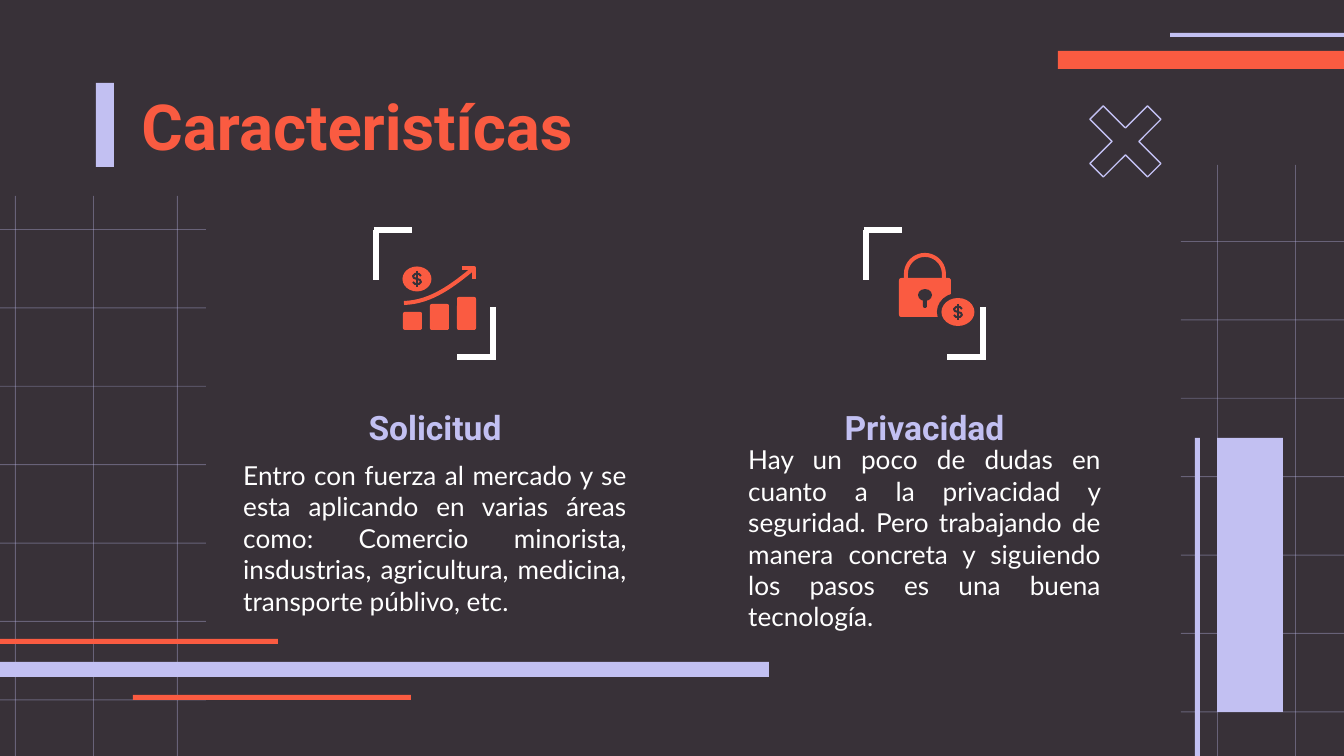
"""Build the two-column "Caracteristícas" slide with its decorations and icons."""
import math

import pptx
import pptx.dml.color
import pptx.enum.shapes
import pptx.enum.text
import pptx.oxml.ns
import pptx.util
import lxml.etree

SCALE = 914400 / 134.4
DARK, LILAC, CORAL, WHITE = "383138", "C2C0F2", "FA5B41", "FFFFFF"
KIND = pptx.enum.shapes.MSO_SHAPE
ALIGN = pptx.enum.text.PP_ALIGN

HEADING = ("Caracteristícas", (128, 79, 1086, 93))
COLUMNS = [
    ("Solicitud", "Entro con fuerza al mercado y se esta aplicando en varias áreas "
     "como: Comercio minorista, insdustrias, agricultura, medicina, "
     "transporte públivo, etc.", 230, 410),
    ("Privacidad", "Hay un poco de dudas en cuanto a la privacidad y seguridad. Pero "
     "trabajando de manera concreta y siguiendo los pasos es una buena "
     "tecnología.", 735, 379),
]
GRIDS = [
    {"left": -208, "right": 206, "top": 196, "bottom": 1089, "first": 229, "columns": (15, 93, 177)},
    {"left": 1181, "right": 1413, "top": 165, "bottom": 789, "first": 241, "columns": (1217, 1295)},
]
GRID_ROWS, GRID_STEP = 7, 78.4
BARS = [
    (1195, 438, 5, 318, LILAC), (1058, 51, 552, 18, CORAL),
    (-1, 662, 770, 15, LILAC), (-134, 639, 412, 5, CORAL),
    (133, 695, 278, 5, CORAL), (1217, 438, 66, 274, LILAC),
    (1170, 33, 315, 4, LILAC), (96, 83, 18, 84, LILAC),
]
FRAME_LEFTS = (374, 864)
FRAME_LINES = [(2, 50, 2, 0), (0, 0, 38, 0), (119, 77, 119, 127), (122, 127, 83, 127)]
FRAME_TOP = 230
GROWTH_BARS = [(403, 312), (430, 304), (457, 297)]
GROWTH_BASE = 330
TREND = [(404, 303), (432, 302), (453, 285), (473, 269)]
ARROW_TIP = [(462, 268), (474, 268), (474, 279)]
DOLLAR = [(4, -3), (2, -5), (-2, -5), (-4, -3), (-3, -1),
          (3, 1), (4, 3), (2, 5), (-2, 5), (-4, 3)]


def px(length):
    return pptx.util.Emu(round(length * SCALE))


def rgb(value):
    return pptx.dml.color.RGBColor.from_string(value)


def add_block(kind, box, colour, alpha=None):
    block = slide.shapes.add_shape(kind, *map(px, box))
    block.shadow.inherit = False
    block.fill.solid()
    block.fill.fore_color.rgb = rgb(colour)
    block.line.fill.background()
    if alpha:
        tone = block.fill._xPr.find(".//" + pptx.oxml.ns.qn("a:srgbClr"))
        lxml.etree.SubElement(tone, pptx.oxml.ns.qn("a:alpha"), val=str(alpha * 1000))
    return block


def add_stroke(points, colour, width):
    start, *rest = [(px(x), px(y)) for x, y in points]
    pen = slide.shapes.build_freeform(*start)
    pen.add_line_segments(rest, close=False)
    stroke = pen.convert_to_shape()
    stroke.shadow.inherit = False
    stroke.fill.background()
    stroke.line.color.rgb = rgb(colour)
    stroke.line.width = px(width)


def add_line(x1, y1, x2, y2, colour, points):
    line = slide.shapes.add_connector(
        pptx.enum.shapes.MSO_CONNECTOR.STRAIGHT, *map(px, (x1, y1, x2, y2)))
    line.line.color.rgb = rgb(colour)
    line.line.width = pptx.util.Pt(points)
    lxml.etree.SubElement(line._element.spPr, pptx.oxml.ns.qn("a:effectLst"))


def write(holder, box, words, font, size, colour, align, bold=False):
    holder.left, holder.top, holder.width, holder.height = map(px, box)
    frame = holder.text_frame
    frame.word_wrap = True
    frame.auto_size = pptx.enum.text.MSO_AUTO_SIZE.NONE
    frame.vertical_anchor = pptx.enum.text.MSO_ANCHOR.MIDDLE
    frame.margin_left = frame.margin_right = pptx.util.Inches(0.1)
    frame.margin_top = frame.margin_bottom = pptx.util.Inches(0.1)
    paragraph = frame.paragraphs[0]
    paragraph.alignment = align
    run = paragraph.add_run()
    run.text = words
    run.font.name, run.font.size, run.font.bold = font, pptx.util.Pt(size), bold
    run.font.color.rgb = rgb(colour)


def add_coin(x, y, width, height):
    add_block(KIND.OVAL, (x - width / 2, y - height / 2, width, height), CORAL)
    add_stroke([(x + dx, y + dy) for dx, dy in DOLLAR], DARK, 2)
    add_stroke([(x, y - 8), (x, y + 8)], DARK, 2)


def bezier(a, b, c, d, steps=16):
    return [tuple(p * (1 - t) ** 3 + 3 * q * t * (1 - t) ** 2 + 3 * r * t * t * (1 - t) + s * t ** 3
                  for p, q, r, s in zip(a, b, c, d))
            for t in (i / steps for i in range(steps + 1))]


def draw_growth_icon():
    for left, top in GROWTH_BARS:
        bar = add_block(KIND.ROUNDED_RECTANGLE, (left, top, 19, GROWTH_BASE - top), CORAL)
        bar.adjustments[0] = 0.1
    add_stroke(bezier(*TREND), CORAL, 4)
    add_stroke(ARROW_TIP, CORAL, 4)
    add_coin(417, 279, 29, 25)


def draw_lock_icon():
    arch = [(925 - 19 * math.cos(math.pi * i / 20), 274 - 19 * math.sin(math.pi * i / 20))
            for i in range(21)]
    add_stroke([(906, 280), *arch, (944, 280)], CORAL, 4)
    add_block(KIND.ROUNDED_RECTANGLE, (899, 278, 52, 39), CORAL).adjustments[0] = 0.06
    add_block(KIND.OVAL, (918, 289, 14, 12), DARK)
    add_block(KIND.ROUNDED_RECTANGLE, (923, 296, 4, 12), DARK).adjustments[0] = 0.5
    add_block(KIND.OVAL, (937, 293, 42, 38), DARK)
    add_coin(958, 312, 33, 28)


deck = pptx.Presentation()
deck.slide_width, deck.slide_height = px(1344), px(756)
slide = deck.slides.add_slide(deck.slide_layouts[5])
slide.background.fill.solid()
slide.background.fill.fore_color.rgb = rgb(DARK)

for grid in GRIDS:
    for row in range(GRID_ROWS):
        add_block(KIND.RECTANGLE, (grid["left"], grid["first"] + row * GRID_STEP,
                                   grid["right"] - grid["left"], 1), LILAC, 35)
    for column in grid["columns"]:
        add_block(KIND.RECTANGLE, (column, grid["top"], 1, grid["bottom"] - grid["top"]), LILAC, 35)
for *box, colour in BARS:
    add_block(KIND.RECTANGLE, box, colour)

title, title_box = HEADING
write(slide.shapes.title, title_box, title, "Roboto", 34, CORAL, ALIGN.LEFT, True)
for name, description, left, width in COLUMNS:
    for words, top, height, style in [
        (name, 406, 42, ("Roboto", 18, LILAC, ALIGN.CENTER, True)),
        (description, 460, 156, ("Lato", 14, WHITE, ALIGN.JUSTIFY)),
    ]:
        box = (left, top, width, height)
        write(slide.shapes.add_textbox(*map(px, box)), box, words, *style)

for left in FRAME_LEFTS:
    for x1, y1, x2, y2 in FRAME_LINES:
        add_line(left + x1, FRAME_TOP + y1, left + x2, FRAME_TOP + y2, WHITE, 3)

cross = add_block(KIND.MATH_MULTIPLY, (1070, 86, 111, 111), DARK)
cross.adjustments[0] = 0.171
cross.fill.background()
cross.line.color.rgb = rgb(LILAC)
cross.line.width = pptx.util.Pt(0.75)

draw_growth_icon()
draw_lock_icon()
deck.save("out.pptx")
